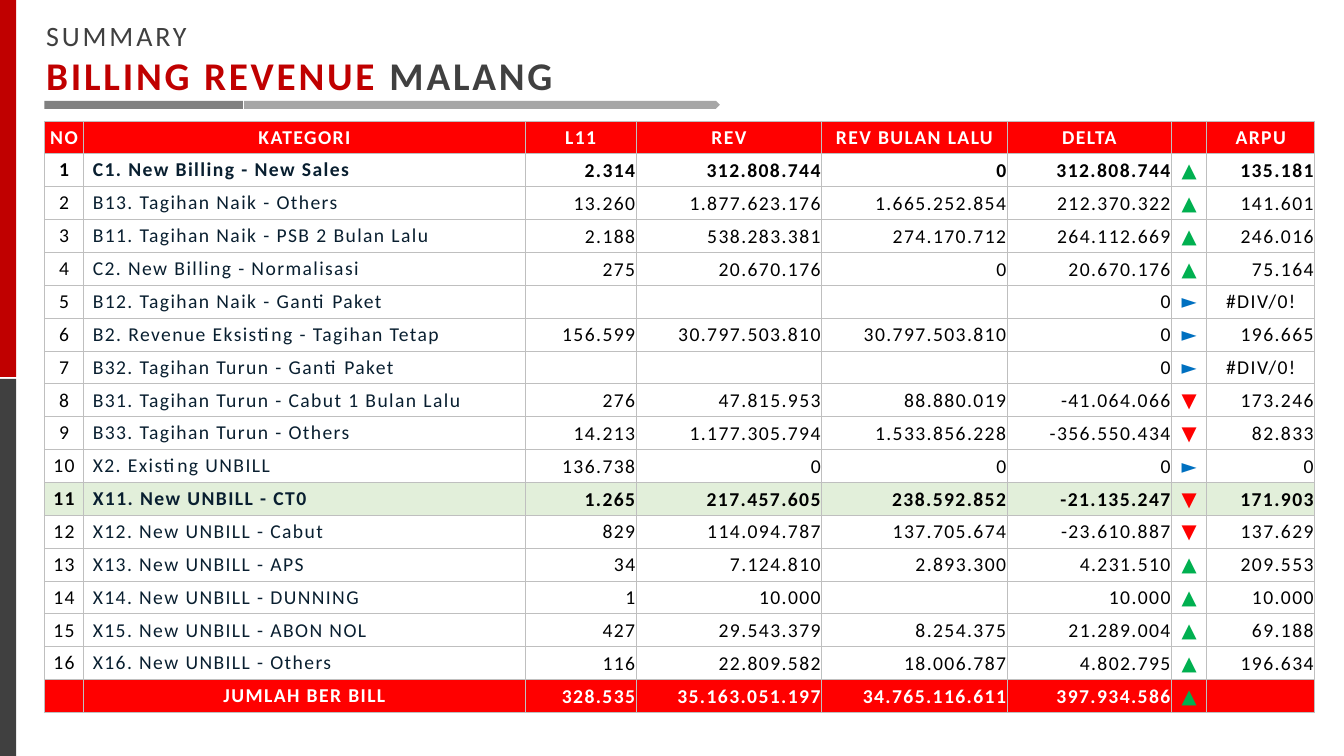
from lxml import etree
from pptx import Presentation
from pptx import util as u
from pptx.dml.color import RGBColor
from pptx.enum import shapes, text
from pptx.oxml.ns import qn

HEADERS = ["NO", "KATEGORI", "L11", "REV", "REV BULAN LALU", "DELTA", "", "ARPU"]
WIDTHS = [0.39, 4.38, 1.1, 1.84, 1.84, 1.63, 0.35, 1.07]
CATEGORIES = [
    ("C1. New Billing - New Sales", "2.314", "312.808.744", "0", "312.808.744", "135.181"),
    ("B13. Tagihan Naik - Others", "13.260", "1.877.623.176", "1.665.252.854", "212.370.322", "141.601"),
    ("B11. Tagihan Naik - PSB 2 Bulan Lalu", "2.188", "538.283.381", "274.170.712", "264.112.669", "246.016"),
    ("C2. New Billing - Normalisasi", "275", "20.670.176", "0", "20.670.176", "75.164"),
    ("B12. Tagihan Naik - Ganti Paket", "", "", "", "0", "#DIV/0!"),
    ("B2. Revenue Eksisting - Tagihan Tetap", "156.599", "30.797.503.810", "30.797.503.810", "0", "196.665"),
    ("B32. Tagihan Turun - Ganti Paket", "", "", "", "0", "#DIV/0!"),
    ("B31. Tagihan Turun - Cabut 1 Bulan Lalu", "276", "47.815.953", "88.880.019", "-41.064.066", "173.246"),
    ("B33. Tagihan Turun - Others", "14.213", "1.177.305.794", "1.533.856.228", "-356.550.434", "82.833"),
    ("X2. Existing UNBILL", "136.738", "0", "0", "0", "0"),
    ("X11. New UNBILL - CT0", "1.265", "217.457.605", "238.592.852", "-21.135.247", "171.903"),
    ("X12. New UNBILL - Cabut", "829", "114.094.787", "137.705.674", "-23.610.887", "137.629"),
    ("X13. New UNBILL - APS", "34", "7.124.810", "2.893.300", "4.231.510", "209.553"),
    ("X14. New UNBILL - DUNNING", "1", "10.000", "", "10.000", "10.000"),
    ("X15. New UNBILL - ABON NOL", "427", "29.543.379", "8.254.375", "21.289.004", "69.188"),
    ("X16. New UNBILL - Others", "116", "22.809.582", "18.006.787", "4.802.795", "196.634"),
    ("JUMLAH BER BILL", "328.535", "35.163.051.197", "34.765.116.611", "397.934.586", ""),
]
BOLD_ROWS = {1, 11}
HIGHLIGHT_ROW = 11
ARROW_COLORS = {"▲": "00B050", "►": "0070C0", "▼": "FF0000"}


def rgb(value):
    return RGBColor.from_string(value)


def trend(delta):
    if delta.startswith("-"):
        return "▼"
    return "►" if delta == "0" else "▲"


def table_rows():
    rows = [HEADERS]
    for no, (name, l11, rev, previous, delta, arpu) in enumerate(CATEGORIES, 1):
        number = "" if no == len(CATEGORIES) else str(no)
        rows.append([number, name, l11, rev, previous, delta, trend(delta), arpu])
    return rows


class SlideBuilder:
    """Draw styled elements on the current slide."""

    font = "Calibri"
    dark, red, header, border = "404040", "C00000", "FF0000", "BFBFBF"

    def __init__(self, prs):
        self.slide = prs.slides.add_slide(prs.slide_layouts[6])

    def style_run(self, r, size, color, bold, spacing):
        r.font.name, r.font.size, r.font.bold = self.font, u.Pt(size), bold
        r.font.color.rgb = rgb(color)
        r._r.get_or_add_rPr().set("spc", str(spacing * 100))

    def bar(self, left, top, width, height, color, kind=shapes.MSO_SHAPE.RECTANGLE):
        box = [u.Inches(v) for v in (left, top, width, height)]
        sp = self.slide.shapes.add_shape(kind, *box)
        sp.shadow.inherit = False
        sp.fill.solid()
        sp.fill.fore_color.rgb = rgb(color)
        sp.line.fill.background()

    def title(self, left, top, width, height, lines):
        box = [u.Inches(v) for v in (left, top, width, height)]
        tf = self.slide.shapes.add_textbox(*box).text_frame
        tf.word_wrap = False
        tf.auto_size = text.MSO_AUTO_SIZE.SHAPE_TO_FIT_TEXT
        for i, (size, bold, parts) in enumerate(lines):
            p = tf.add_paragraph() if i else tf.paragraphs[0]
            for words, color in parts:
                r = p.add_run()
                r.text = words
                self.style_run(r, size, color, bold, 2)

    def cell_border(self, cell):
        tcPr = cell._tc.get_or_add_tcPr()
        for i, side in enumerate(("a:lnL", "a:lnR", "a:lnT", "a:lnB")):
            ln = etree.Element(qn(side), w=str(u.Pt(0.75)))
            fill = etree.SubElement(ln, qn("a:solidFill"))
            etree.SubElement(fill, qn("a:srgbClr"), val=self.border)
            tcPr.insert(i, ln)

    def cell(self, cell, value, fill, color, bold, align, indent, inset):
        cell.vertical_anchor = text.MSO_ANCHOR.MIDDLE
        cell.margin_left = cell.margin_right = cell.margin_top = u.Inches(inset)
        cell.margin_bottom = 0
        if fill:
            cell.fill.solid()
            cell.fill.fore_color.rgb = rgb(fill)
        else:
            cell.fill.background()
        self.cell_border(cell)
        if value:
            p = cell.text_frame.paragraphs[0]
            p.text = value
            p.alignment = align
            if indent:
                p._p.get_or_add_pPr().set("indent", str(u.Inches(indent)))
            self.style_run(p.runs[0], 14, color, bold, 1)

    def table(self, left, top, width, height, widths, rows):
        box = [u.Inches(v) for v in (left, top, width, height)]
        tbl = self.slide.shapes.add_table(len(rows), len(widths), *box).table
        tbl.horz_banding = tbl.first_row = False
        for column, size in zip(tbl.columns, widths):
            column.width = u.Inches(size)
        for i, values in enumerate(rows):
            tbl.rows[i].height = u.Inches(height / len(rows))
            edge = i in (0, len(rows) - 1)
            fill = self.header if edge else "E2EFDA" if i == HIGHLIGHT_ROW else None
            for j, value in enumerate(values):
                name = j == 1 and not edge
                color = "FFFFFF" if edge else "091F30" if name else "000000"
                centred = i == 0 or j in (0, 1, 6) or value.startswith("#")
                align = text.PP_ALIGN.CENTER if centred else text.PP_ALIGN.RIGHT
                if name:
                    align = text.PP_ALIGN.LEFT
                self.cell(tbl.cell(i, j), value, fill, ARROW_COLORS.get(value, color),
                          edge or i in BOLD_ROWS, align, 0.09 if name else 0,
                          0.01 if i and j > 1 else 0)


prs = Presentation()
prs.slide_width, prs.slide_height = u.Inches(13.33), u.Inches(7.5)
s = SlideBuilder(prs)
s.bar(0, 3.76, 0.16, 3.74, s.dark)
s.bar(0, 0, 0.16, 3.74, s.red)
s.title(0.36, 0.13, 5.31, 0.91, [
    (20, False, [("SUMMARY", s.dark)]),
    (28, True, [("BILLING REVENUE", s.red), (" MALANG", s.dark)]),
])
s.bar(2.42, 1, 4.72, 0.08, "A6A6A6", shapes.MSO_SHAPE.PENTAGON)
s.bar(0.44, 1, 1.97, 0.08, "808080")
s.table(0.44, 1.2, 12.6, 5.87, WIDTHS, table_rows())
prs.save("out.pptx")
